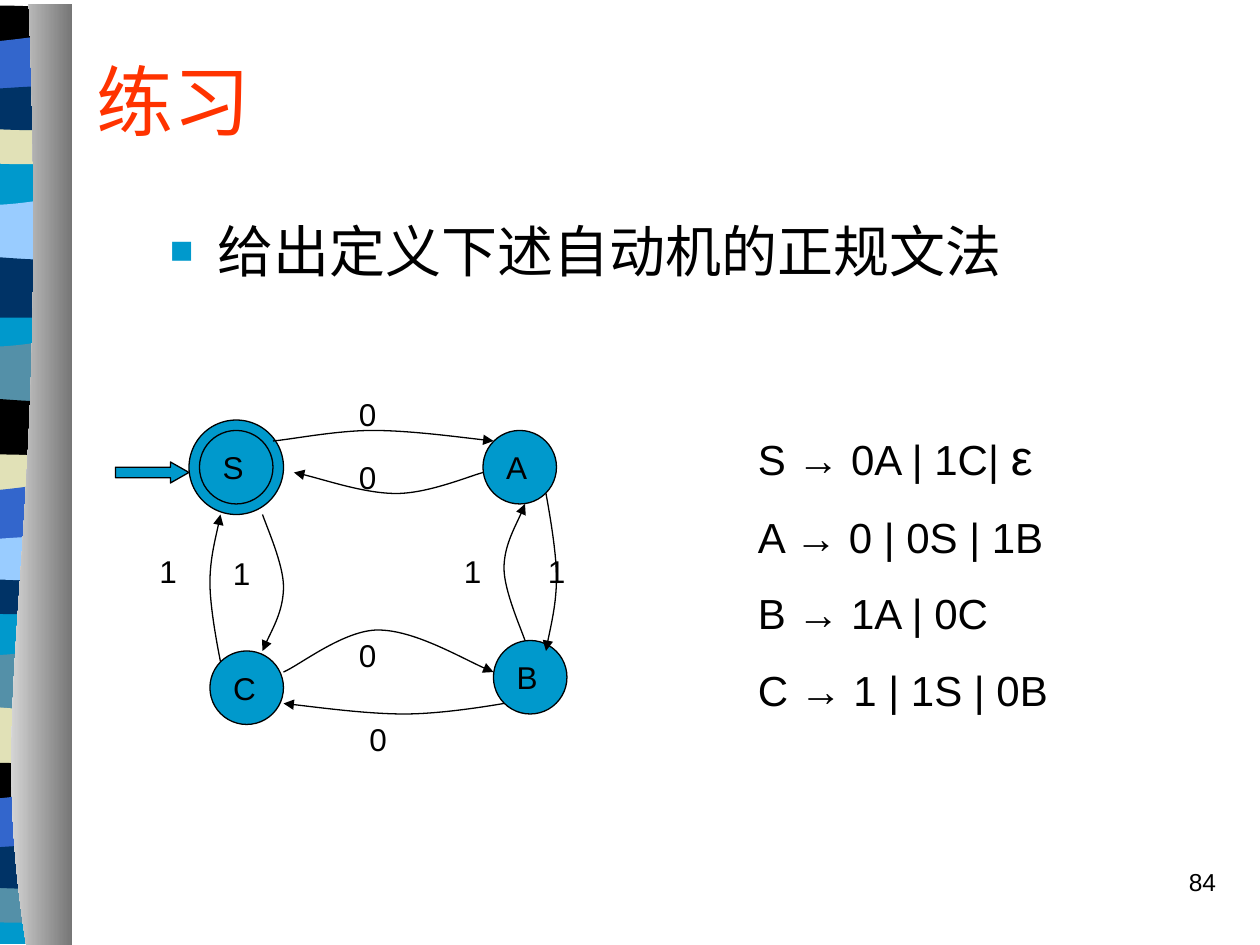
from lxml import etree
from pptx import Presentation
from pptx import util as u
from pptx.dml.color import RGBColor
from pptx.enum import shapes as sh, text as tx
from pptx.oxml.ns import qn

PX = 9525  # 96 px to the inch
CYAN, NAVY, BLUE, LIGHT = "0099CC", "003366", "3366CC", "99CCFF"
STEEL, CREAM, BLACK = "5490A8", "E1E1B7", "000000"
CJK = "Noto Sans CJK SC"

# Outlines: a tuple is a point, a list of three is a Bezier curve
L, R = -55, 51
BASE = [(L, FOOT := 719), (L, 5), (R, 5), (R, FOOT)]
WAVE = [(L, 542), (L, 497), [(18, 505), (33, 490), (R, 497)], (R, 542)]
SLOPE = [(L, 585), (L, 540), [(-37, 532), (18, 544), (R, 540)], (R, 585)]
STRIP = [(L, 699), (L, 676), [(-37, 672), (33, 672), (R, 676)], (R, 699),
         [(44, 704), (28, 703), (11, 703)], [(-8, 703), (-41, 700), (L, 699)]]
ARCH = [(L, 616), (L, 585), [(-37, 580), (33, 580), (R, 585)], (R, 616),
        [(-14, 612), (-33, 616), (L, 616)]]
DIP = [(L, 648), (L, 603), [(-38, 609), (-32, 609), (-14, 609)],
       [(4, 609), (35, 603), (R, 603)], (R, 648)]
RIPPLE = [(L, 675), (L, 646), [(-48, 641), (-32, 646), (-14, 646)],
          [(4, 646), (40, 641), (R, 646)], (R, 675),
          [(36, 680), (-21, 675), (-38, 675)], [(-56, 675), (-51, 675), (L, 675)]]
PANEL = [(20, 720), [(-13, 513), (39, 437), (22, 3)], (55, 3), (55, 720)]

# Side bands, back to front: outline, colour, upward shift
BANDS = [
    (BASE, CYAN, 0),
    (WAVE, STEEL, 0), (SLOPE, CREAM, 0), (STRIP, STEEL, 0),
    (ARCH, BLACK, 0), (DIP, BLUE, 0), (RIPPLE, NAVY, 0),
    (WAVE, STEEL, 235), (SLOPE, BLACK, 235), (STRIP, NAVY, 235),
    (ARCH, CREAM, 235), (DIP, BLUE, 235), (RIPPLE, LIGHT, 235),
    (WAVE, LIGHT, 343), (SLOPE, NAVY, 343), (STRIP, CREAM, 578),
    (ARCH, BLACK, 577), (DIP, BLUE, 577), (RIPPLE, NAVY, 578),
]

STATES = [("S", 152, 328), ("A", 368, 328), ("B", 376, 488), ("C", 160, 496)]
MOVES = [
    [(208, 336), [(221, 335), (256, 328), (284, 328)],
     [(312, 328), (357, 334), (376, 336)]],
    [(368, 360), [(357, 363), (326, 376), (302, 376)],
     [(278, 376), (240, 363), (224, 360)]],
    [(216, 512), [(228, 507), (262, 480), (288, 480)],
     [(315, 480), (358, 505), (376, 512)]],
    [(384, 536), [(372, 538), (336, 544), (308, 544)],
     [(280, 544), (235, 538), (216, 536)]],
    [(416, 376), [(418, 387), (424, 420), (424, 440)],
     [(424, 460), (418, 484), (416, 496)]],
    [(400, 488), [(397, 479), (384, 450), (384, 433)],
     [(384, 416), (396, 395), (400, 384)]],
    [(200, 392), [(203, 401), (216, 430), (216, 447)],
     [(216, 465), (204, 486), (200, 496)]],
    [(168, 504), [(166, 494), (160, 463), (160, 444)],
     [(160, 426), (166, 403), (168, 392)]],
]
LABELS = [("0", 264, 296), ("0", 264, 344), ("1", 408, 416), ("1", 344, 416),
          ("0", 264, 480), ("0", 272, 544), ("1", 112, 416), ("1", 168, 417)]
RULES = [[("S → 0A | 1C| ", 24), ("ε", 28)], [("A → 0 | 0S | 1B", 24)],
         [("B → 1A | 0C", 24)], [("C → 1 | 1S | 0B", 24)]]

prs = Presentation()
prs.slide_width, prs.slide_height = 960 * PX, 720 * PX
slide = prs.slides.add_slide(prs.slide_layouts[6])


def rgb(hue):
    return RGBColor.from_string(hue)


def paint(shape, fill=None, line=None):
    shape.shadow.inherit = False
    if fill:
        shape.fill.solid()
        shape.fill.fore_color.rgb = rgb(fill)
    else:
        shape.fill.background()
    if line:
        shape.line.color.rgb = rgb(line)
        shape.line.width = u.Pt(0.75)
    else:
        shape.line.fill.background()
    return shape


def preset(kind, x, y, w, h):
    box = slide.shapes.add_shape(kind, x * PX, y * PX, w * PX, h * PX)
    return paint(box, CYAN, BLACK)


def outline(steps, rise=0, close=True):
    """Draw a freeform from points and curves, moved up by rise."""
    parts = [step if isinstance(step, list) else [step] for step in steps]
    pts = [(x, y - rise) for part in parts for x, y in part]
    pen = slide.shapes.build_freeform(*pts[0], scale=PX)
    pen.add_line_segments(pts[1:], close=close)
    shape = pen.convert_to_shape()
    segs = iter(shape._element.findall(".//" + qn("a:lnTo")))
    for part in parts[1:]:
        group = [next(segs) for _ in part]
        if len(group) == 3:
            bend = etree.Element(qn("a:cubicBezTo"))
            group[0].addprevious(bend)
            for seg in group:
                bend.append(seg[0])
                seg.getparent().remove(seg)
    return shape


def write(frame, paras, size=18, font="Arial", color=BLACK, gap=0, bullet=None,
          align=tx.PP_ALIGN.LEFT, anchor=tx.MSO_ANCHOR.TOP, wrap=True):
    """Fill frame with paras, each a string or a list of (string, size)."""
    frame.word_wrap = wrap
    frame.vertical_anchor = anchor
    for i, runs in enumerate(paras):
        para = frame.add_paragraph() if i else frame.paragraphs[0]
        para.alignment = align
        if i:
            para.space_before = u.Pt(gap)
        if bullet:
            props = para._p.get_or_add_pPr()
            props.set("marL", str(36 * PX))
            props.set("indent", str(-36 * PX))
            hue = etree.SubElement(props, qn("a:buClr"))
            etree.SubElement(hue, qn("a:srgbClr"), val=CYAN)
            etree.SubElement(props, qn("a:buSzPct"), val="70000")
            etree.SubElement(props, qn("a:buFont"), typeface="Arial")
            etree.SubElement(props, qn("a:buChar"), char=bullet)
        for words, pts in [(runs, size)] if isinstance(runs, str) else runs:
            run = para.add_run()
            run.text = words
            run.font.size = u.Pt(pts)
            run.font.name = font
            run.font.color.rgb = rgb(color)
            etree.SubElement(run._r.get_or_add_rPr(), qn("a:ea"), typeface=font)


def label(paras, x, y, w, h, **form):
    box = slide.shapes.add_textbox(x * PX, y * PX, w * PX, h * PX)
    write(box.text_frame, paras, **form)


for steps, hue, rise in BANDS:
    paint(outline(steps, rise), hue)

panel = paint(outline(PANEL), STEEL)
panel.fill.gradient()
panel.fill.gradient_angle = 0
for stop, hue in zip(panel.fill.gradient_stops, ("FFFFFF", "767676")):
    stop.color.rgb = rgb(hue)

label(["练习"], 64, 16, 876, 120, size=44, font=CJK, color="FF3300",
      anchor=tx.MSO_ANCHOR.MIDDLE)
label(["给出定义下述自动机的正规文法"], 120, 160, 704, 88, size=32, font=CJK,
      bullet="■")

OVAL = sh.MSO_SHAPE.OVAL
preset(OVAL, 144, 320, 72, 72)
for name, x, y in STATES:
    write(preset(OVAL, x, y, 56, 56).text_frame, [name], wrap=False,
          anchor=tx.MSO_ANCHOR.MIDDLE)
entry = preset(sh.MSO_SHAPE.RIGHT_ARROW, 88, 352, 56, 16)
entry.adjustments[1] = 0.88

for steps in MOVES:
    move = paint(outline(steps, close=False), line=BLACK)
    etree.SubElement(move.line._get_or_add_ln(), qn("a:tailEnd"), type="triangle")
for mark, x, y in LABELS:
    label([mark], x, y, 56, 38)

label(RULES, 568, 320, 336, 229, gap=15)
label(["84"], 736, 656, 200, 48, size=14, align=tx.PP_ALIGN.RIGHT)

prs.save("out.pptx")
